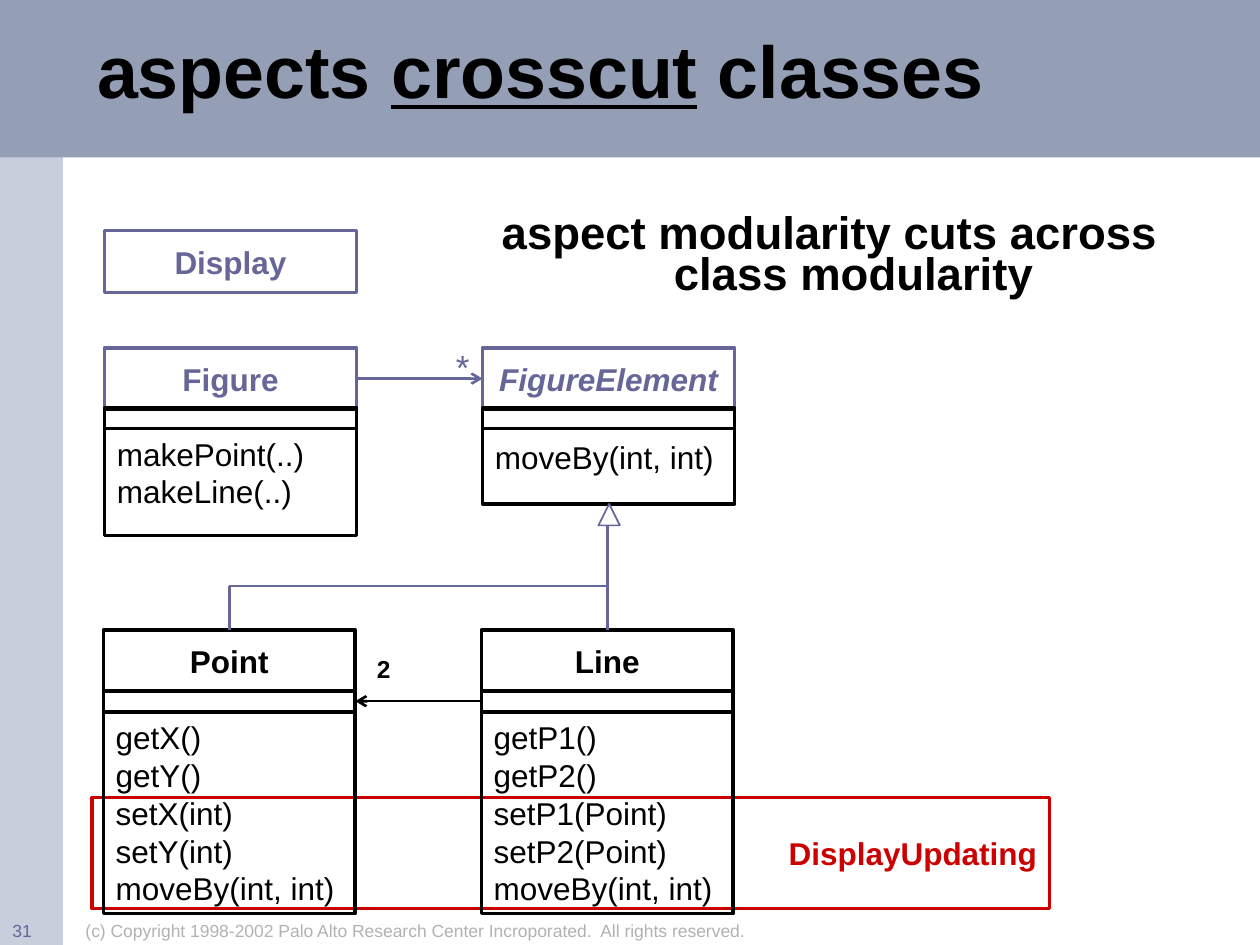
from dataclasses import dataclass

from lxml import etree
from pptx import Presentation
from pptx.dml.color import RGBColor
from pptx.enum.shapes import MSO_CONNECTOR, MSO_SHAPE
from pptx.enum.text import MSO_ANCHOR, MSO_AUTO_SIZE, PP_ALIGN
from pptx.oxml.ns import qn
from pptx.util import Inches, Pt

RECTANGLE, TRIANGLE = MSO_SHAPE.RECTANGLE, MSO_SHAPE.ISOSCELES_TRIANGLE
STRAIGHT = MSO_CONNECTOR.STRAIGHT
TOP, MIDDLE = MSO_ANCHOR.TOP, MSO_ANCHOR.MIDDLE
LEFT, CENTER, RIGHT = PP_ALIGN.LEFT, PP_ALIGN.CENTER, PP_ALIGN.RIGHT
SIDE_TOP, SIDE_LEFT, SIDE_RIGHT = 0, 1, 3


@dataclass(frozen=True)
class Theme:
    font: str = "Arial"
    black: str = "000000"
    white: str = "FFFFFF"
    violet: str = "666699"
    red: str = "CC0000"
    grey: str = "B2B2B2"
    header: str = "949FB6"
    sidebar: str = "C8CEDC"
    title_size: int = 42
    message_size: int = 26
    star_size: int = 20
    class_size: int = 18
    count_size: int = 14
    footer_size: int = 10


theme = Theme()


def format_text(frame, size, color, align=LEFT, anchor=TOP, bold=False, wrap=True):
    frame.auto_size = MSO_AUTO_SIZE.NONE
    frame.word_wrap = wrap
    frame.vertical_anchor = anchor
    for para in frame.paragraphs:
        para.alignment = align
        for span in para.runs:
            span.font.name = theme.font
            span.font.size = Pt(size)
            span.font.bold = bold
            span.font.color.rgb = RGBColor.from_string(color)


def add_box(place, fill=None, line=None, width=2, kind=RECTANGLE):
    box = page.shapes.add_shape(kind, *[Inches(value) for value in place])
    box.shadow.inherit = False
    if fill:
        box.fill.solid()
        box.fill.fore_color.rgb = RGBColor.from_string(fill)
    else:
        box.fill.background()
    if line:
        box.line.color.rgb = RGBColor.from_string(line)
        box.line.width = Pt(width)
    else:
        box.line.fill.background()
    return box


deck = Presentation()
deck.slide_width, deck.slide_height = Inches(10), Inches(7.5)
page = deck.slides.add_slide(deck.slide_layouts[1])
title, message = page.placeholders

# Background bands, moved behind the placeholders
bands = [((0, 0, 0.5, 7.5), theme.sidebar), ((0, 0, 10, 1.25), theme.header)]
for position, (place, fill) in enumerate(bands):
    band = add_box(place, fill)
    title.element.getparent().insert(2 + position, band.element)
add_box((7.5, 6.83, 2.47, 0.65), theme.white, theme.white, 1)

# Title and message
title.left, title.top, title.width, title.height = (
    Inches(0.67), Inches(0.08), Inches(8.33), Inches(1.05))
para = title.text_frame.paragraphs[0]
para.line_spacing = 0.85
for text, underlined in [("aspects ", False), ("crosscut", True), (" classes", False)]:
    span = para.add_run()
    span.text = text
    span.font.underline = underlined
format_text(title.text_frame, theme.title_size, theme.black, anchor=MIDDLE, bold=True)

message.left, message.top, message.width, message.height = (
    Inches(3.5), Inches(1.67), Inches(6.17), Inches(0.83))
message.text_frame.text = "aspect modularity cuts across class modularity"
para = message.text_frame.paragraphs[0]
properties = para._p.get_or_add_pPr()
properties.set("marL", str(Inches(0.38)))
properties.set("indent", str(-Inches(0.38)))
etree.SubElement(properties, qn("a:buNone"))
para.line_spacing = 0.75
para.space_before = Pt(0)
format_text(message.text_frame, theme.message_size, theme.black, CENTER, bold=True)

# Aspect frame and the single-box class
aspect = add_box((0.73, 6.33, 7.6, 0.88), line=theme.red)
aspect.text_frame.text = "DisplayUpdating"
format_text(aspect.text_frame, theme.class_size, theme.red, RIGHT, MIDDLE, True, False)

display = add_box((0.83, 1.83, 2, 0.49), line=theme.violet)
display.text_frame.text = "Display"
format_text(display.text_frame, theme.class_size, theme.violet, CENTER, MIDDLE, True, False)

# Classes: heading, empty attribute slot, methods
classes = [
    # name, left, top, slot height, methods top, methods height, color, methods
    ("Point", 0.82, 5, 0.17, 5.65, 1.6, theme.black,
     ["getX()", "getY()", "setX(int)", "setY(int)", "moveBy(int, int)"]),
    ("Line", 3.82, 5, 0.17, 5.65, 1.6, theme.black,
     ["getP1()", "getP2()", "setP1(Point)", "setP2(Point)", "moveBy(int, int)"]),
    ("Figure", 0.83, 2.76, 0.16, 3.25, 1, theme.violet,
     ["makePoint(..)", "makeLine(..)"]),
    ("FigureElement", 3.83, 2.76, 0.16, 3.25, 0.75, theme.violet,
     ["moveBy(int, int)"]),
]
headings, slots = {}, {}
for name, left, top, slot_height, methods_top, methods_height, color, methods in classes:
    heading = add_box((left, top, 2, 0.49), line=color)
    heading.text_frame.text = name
    format_text(heading.text_frame, theme.class_size, color, CENTER, MIDDLE, True, False)
    body = add_box((left, methods_top, 2, methods_height), line=theme.black)
    body.text_frame.text = "\n".join(methods)
    format_text(body.text_frame, theme.class_size, theme.black, anchor=MIDDLE, wrap=False)
    headings[name] = heading
    slots[name] = add_box((left, top + 0.48, 2, slot_height), line=theme.black)
headings["FigureElement"].text_frame.paragraphs[0].runs[0].font.italic = True
add_box((4.75, 4, 0.17, 0.17), theme.white, theme.violet, 1, TRIANGLE)

# Relations: start, end, color, arrowhead, joined start, joined end
relations = [
    ((2.83, 3), (3.83, 3), theme.violet, True,
     (headings["Figure"], SIDE_RIGHT), (headings["FigureElement"], SIDE_LEFT)),
    ((3.82, 5.57), (2.82, 5.57), theme.black, True,
     (slots["Line"], SIDE_LEFT), (slots["Point"], SIDE_RIGHT)),
    ((1.82, 5), (1.82, 4.65), theme.violet, False, (headings["Point"], SIDE_TOP), None),
    ((4.82, 5), (4.82, 4.65), theme.violet, False, (headings["Line"], SIDE_TOP), None),
    ((1.82, 4.65), (4.82, 4.65), theme.violet, False, None, None),
    ((4.82, 4.65), (4.82, 4.17), theme.violet, False, None, None),
]
for start, end, color, arrow, joined_start, joined_end in relations:
    relation = page.shapes.add_connector(
        STRAIGHT, *[Inches(value) for value in start + end])
    if joined_start:
        relation.begin_connect(*joined_start)
    if joined_end:
        relation.end_connect(*joined_end)
    relation.line.color.rgb = RGBColor.from_string(color)
    relation.line.width = Pt(1.5)
    if arrow:
        etree.SubElement(relation.line._get_or_add_ln(), qn("a:tailEnd"), type="arrow")
    etree.SubElement(relation.element.spPr, qn("a:effectLst"))

# Multiplicities and footer
labels = [
    ("*", (3.52, 2.69, 0.25, 0.44), theme.star_size, theme.violet, CENTER, False),
    ("2", (2.88, 5.14, 0.33, 0.34), theme.count_size, theme.black, CENTER, True),
    ("(c) Copyright 1998-2002 Palo Alto Research Center Incroporated.  All rights reserved.",
     (0.58, 7.25, 5.58, 0.25), theme.footer_size, theme.grey, LEFT, False),
    ("31", (0, 7.25, 0.5, 0.25), theme.footer_size, theme.violet, LEFT, False),
]
for text, place, size, color, align, bold in labels:
    label = page.shapes.add_textbox(*[Inches(value) for value in place])
    label.text_frame.text = text
    format_text(label.text_frame, size, color, align, bold=bold)

deck.save("out.pptx")
